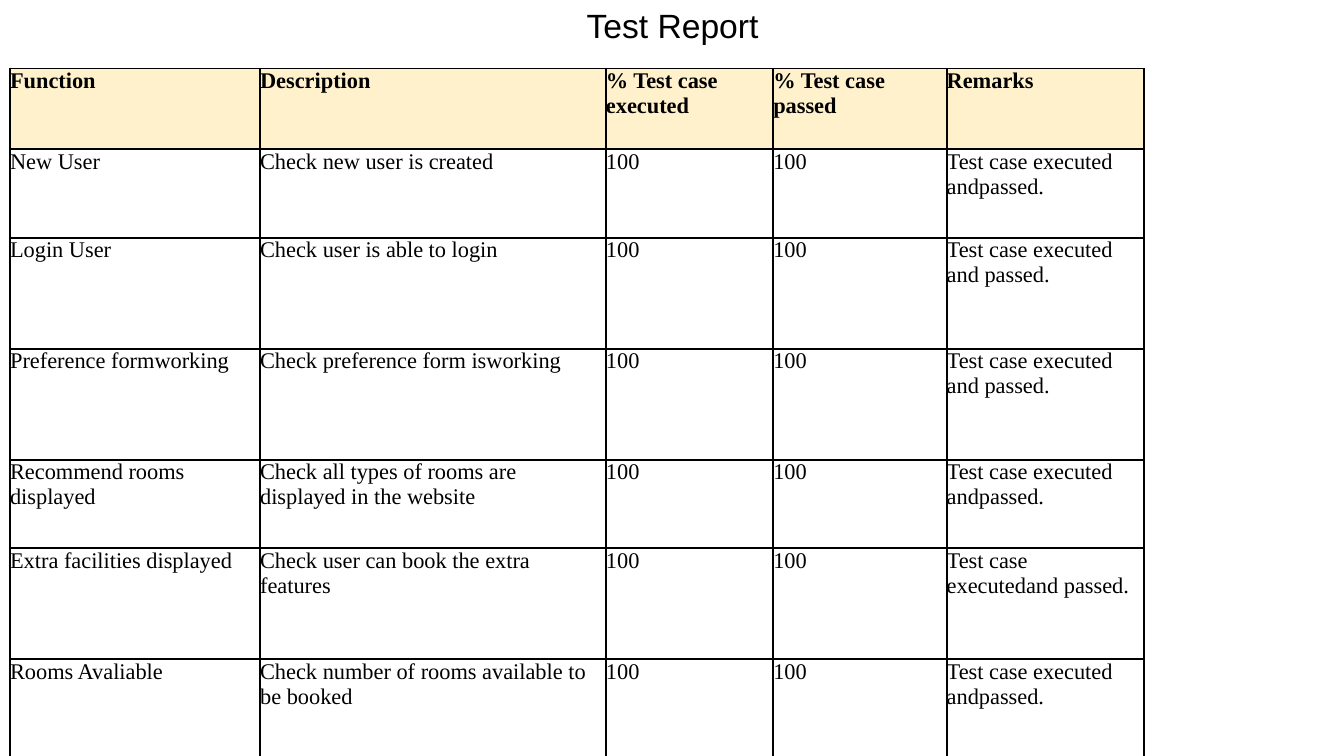
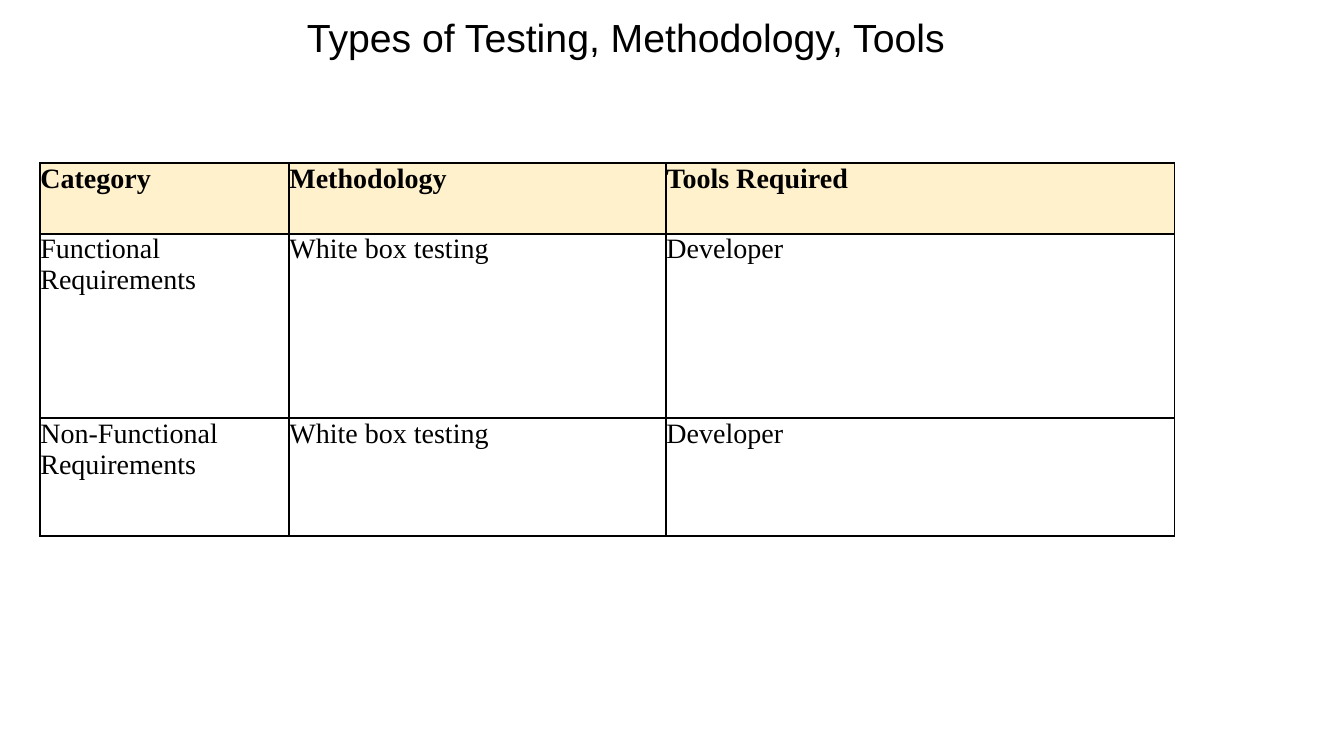
import pptx
import pptx.dml.color
import pptx.enum.text
import pptx.oxml
import pptx.oxml.ns
import pptx.util

Inches = pptx.util.Inches
Pt = pptx.util.Pt


def rgb(hex_color):
    return pptx.dml.color.RGBColor.from_string(hex_color)


class Report:
    """Holds the shared style and the slide being built."""
    INK = "000000"
    HEADER_FILL = "FFF1CC"
    TITLE_FONT = "Arial"
    TABLE_FONT = "Times New Roman"
    BORDER = Pt(1.5)

    def __init__(self):
        self.deck = pptx.Presentation()
        self.deck.slide_width = Inches(13.33)
        self.deck.slide_height = Inches(7.5)
        self.slide = None

    def new_slide(self):
        self.slide = self.deck.slides.add_slide(self.deck.slide_layouts[6])

    def style(self, paragraph, font_name, size, bold=False):
        font = paragraph.font
        font.name = font_name
        font.size = Pt(size)
        font.bold = bold
        font.color.rgb = rgb(self.INK)

    def title(self, text, left, top, width, height, size):
        frame = self.slide.shapes.add_textbox(
            Inches(left), Inches(top), Inches(width), Inches(height)).text_frame
        frame.word_wrap = True
        frame.text = text
        heading = frame.paragraphs[0]
        heading.alignment = pptx.enum.text.PP_ALIGN.CENTER
        self.style(heading, self.TITLE_FONT, size)

    def border(self, cell):
        properties = cell._tc.get_or_add_tcPr()
        for side in ("lnL", "lnR", "lnT", "lnB"):
            properties.append(pptx.oxml.parse_xml(
                f'<a:{side} {pptx.oxml.ns.nsdecls("a")} w="{self.BORDER}">'
                f'<a:solidFill><a:srgbClr val="{self.INK}"/></a:solidFill>'
                f'</a:{side}>'))

    def cell(self, cell, text, size, is_header):
        cell.margin_left = cell.margin_right = 0
        cell.margin_top = cell.margin_bottom = 0
        self.border(cell)
        if is_header:
            cell.fill.solid()
            cell.fill.fore_color.rgb = rgb(self.HEADER_FILL)
        else:
            cell.fill.background()
        cell.text_frame.text = text
        self.style(cell.text_frame.paragraphs[0], self.TABLE_FONT, size, is_header)

    def table(self, rows, left, top, widths, heights, size):
        table = self.slide.shapes.add_table(
            len(rows), len(widths), Inches(left), Inches(top),
            Inches(sum(widths)), Inches(sum(heights))).table
        table.first_row = table.horz_banding = False
        for column, width in zip(table.columns, widths):
            column.width = Inches(width)
        for row, height in zip(table.rows, heights):
            row.height = Inches(height)
        for r, texts in enumerate(rows):
            for c, text in enumerate(texts):
                self.cell(table.cell(r, c), text, size, is_header=r == 0)


def main():
    report = Report()

    # Test report: every function was fully executed and passed
    checks = [
        ("New User", "Check new user is created",
         "Test case executed andpassed."),
        ("Login User", "Check user is able to login",
         "Test case executed and passed."),
        ("Preference formworking", "Check preference form isworking",
         "Test case executed and passed."),
        ("Recommend rooms displayed",
         "Check all types of rooms are displayed in the website",
         "Test case executed andpassed."),
        ("Extra facilities displayed", "Check user can book the extra features",
         "Test case executedand passed."),
        ("Rooms Avaliable", "Check number of rooms available to be booked",
         "Test case executed andpassed."),
    ]
    results = [("Function", "Description", "% Test case executed",
                "% Test case passed", "Remarks")]
    results += [(function, description, "100", "100", remark)
                for function, description, remark in checks]
    report.new_slide()
    report.title("Test Report", 4.88, 0, 3.58, 0.91, size=24)
    report.table(results, 0.1, 0.68,
                 widths=[2.48, 3.43, 1.66, 1.72, 1.96],
                 heights=[0.8, 0.88, 1.1, 1.1, 0.88, 1.1, 0.97], size=16)

    # Testing types, methodology and tools
    methods = [
        ("Category", "Methodology", "Tools Required"),
        ("Functional Requirements", "White box testing", "Developer"),
        ("Non-Functional Requirements", "White box testing", "Developer"),
    ]
    report.new_slide()
    report.title("Types of Testing, Methodology, Tools",
                 0.5, 0.08, 11.41, 0.57, size=28)
    report.table(methods, 0.4, 1.62, widths=[2.47, 3.74, 5.04],
                 heights=[0.7, 1.83, 1.17], size=20)

    report.deck.save("out.pptx")


if __name__ == "__main__":
    main()
